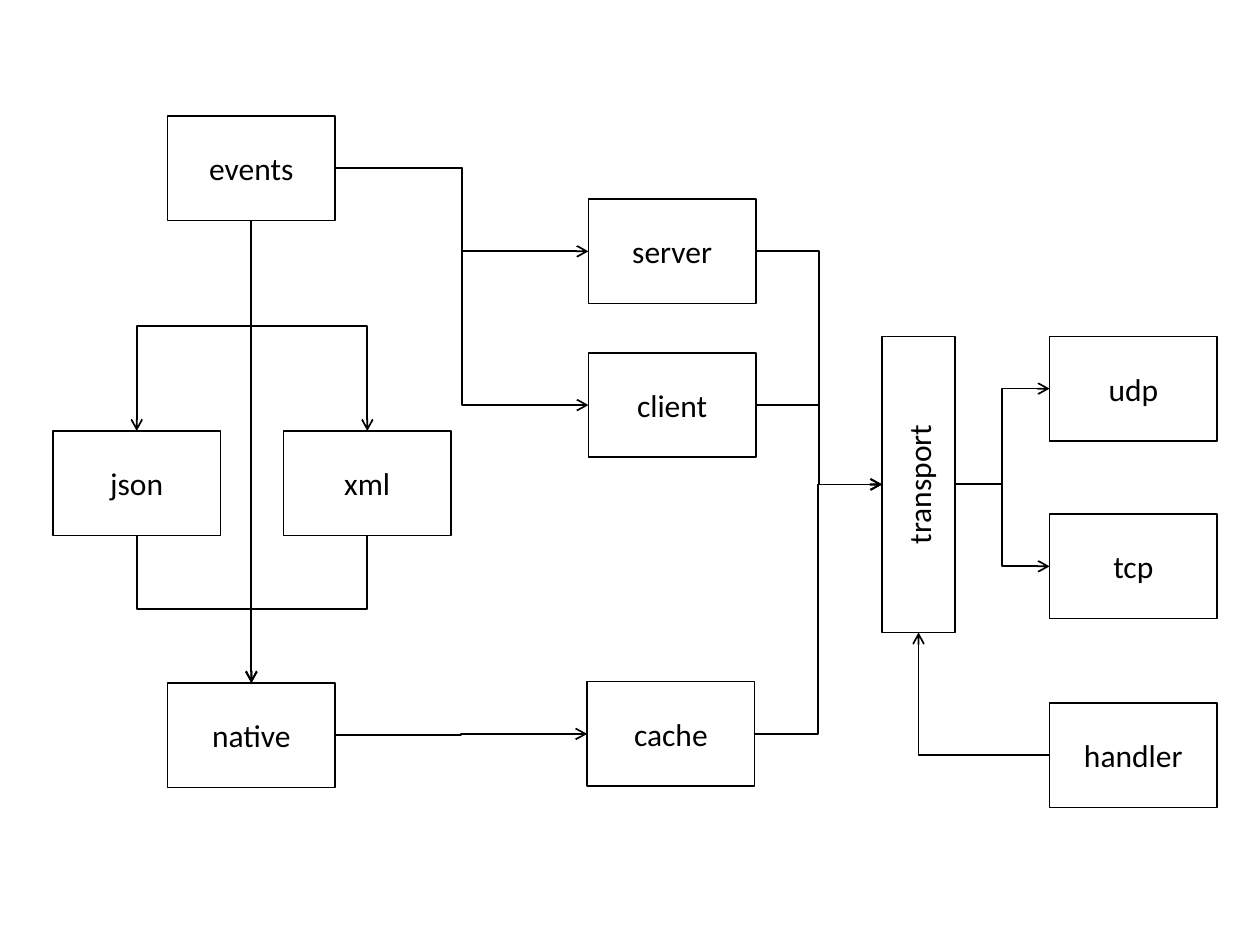
from pptx import Presentation
from pptx.dml.color import RGBColor
from pptx.enum.shapes import MSO_CONNECTOR as Route, MSO_SHAPE as Preset
from pptx.enum.text import MSO_ANCHOR as Anchor, PP_ALIGN as Align
from pptx.oxml.ns import qn
from pptx.util import Inches, Pt
from lxml.etree import SubElement

COLORS = {"ink": "000000"}
INK = RGBColor.from_string(COLORS["ink"])
FONT = {"name": "Calibri", "size": Pt(18)}
MARGINS = {"margin_left": 0, "margin_right": 0}
TOP, LEFT, BOTTOM, RIGHT = range(4)
BOX_WIDTH, BOX_HEIGHT = 1.33, 0.83

# Left and top of each module box
MODULES = {
    "udp": (8.33, 2.67),
    "tcp": (8.33, 4.08),
    "server": (4.67, 1.58),
    "client": (4.67, 2.8),
    "cache": (4.66, 5.41),
    "native": (1.33, 5.42),
    "xml": (2.25, 3.42),
    "json": (0.42, 3.42),
    "events": (1.33, 0.92),
    "handler": (8.33, 5.58),
}

# Flows that leave on the right and arrive on the left
SIDEWAYS = [
    ("events", "server"), ("events", "client"), ("native", "cache"),
    ("server", "transport"), ("client", "transport"), ("cache", "transport"),
    ("transport", "udp"), ("transport", "tcp"),
]
# Flows that leave at the bottom and arrive at the top
DOWNWARD = [("events", "xml"), ("events", "json"),
            ("xml", "native"), ("json", "native")]


def set_all(target, values):
    for name, value in values.items():
        setattr(target, name, value)


def add_box(slide, label, left, top, width=BOX_WIDTH, height=BOX_HEIGHT):
    box = slide.shapes.add_shape(Preset.RECTANGLE, Inches(left), Inches(top),
                                 Inches(width), Inches(height))
    box.shadow.inherit = False
    box.fill.background()
    box.line.color.rgb = INK
    box.line.width = Pt(1)
    frame = box.text_frame
    set_all(frame, {**MARGINS, "vertical_anchor": Anchor.MIDDLE})
    paragraph = frame.paragraphs[0]
    paragraph.alignment = Align.CENTER
    run = paragraph.add_run()
    run.text = label
    set_all(run.font, FONT)
    run.font.color.rgb = INK
    return box


def add_arrow(slide, source, source_side, target, target_side, route=Route.ELBOW):
    arrow = slide.shapes.add_connector(route, 0, 0, 0, 0)
    arrow.begin_connect(source, source_side)
    arrow.end_connect(target, target_side)
    arrow.line.color.rgb = INK
    arrow.line.width = Pt(1)
    properties = arrow.element.spPr
    SubElement(properties.find(qn("a:ln")), qn("a:tailEnd"), type="arrow")
    SubElement(properties, qn("a:effectLst"))
    return arrow


def add_down_arrow(slide, source, target):
    """An elbow that starts and ends vertically is a rotated sideways elbow."""
    arrow = add_arrow(slide, source, BOTTOM, target, TOP)
    across = arrow.end_x - arrow.begin_x
    down = arrow.end_y - arrow.begin_y
    center_x = (arrow.begin_x + arrow.end_x) // 2
    center_y = (arrow.begin_y + arrow.end_y) // 2
    transform = arrow.element.spPr.xfrm
    transform.flipH = across > 0
    transform.set("rot", str((270 if across > 0 else 90) * 60000))
    arrow.width, arrow.height = down, abs(across)
    arrow.left = center_x - down // 2
    arrow.top = center_y - abs(across) // 2


def add_corner_arrow(slide, source, target):
    """One bend: leave to the left, then rise into the target."""
    arrow = add_arrow(slide, source, LEFT, target, BOTTOM)
    properties = arrow.element.spPr
    properties.find(qn("a:prstGeom")).set("prst", "bentConnector2")
    properties.xfrm.flipH = properties.xfrm.flipV = False
    properties.xfrm.set("rot", str(180 * 60000))


def main():
    prs = Presentation()
    prs.slide_width, prs.slide_height = Inches(10), Inches(7.5)
    slide = prs.slides.add_slide(prs.slide_layouts[6])

    # Module boxes
    boxes = {label: add_box(slide, label, *corner)
             for label, corner in MODULES.items()}
    transport = add_box(slide, "transport", 7, 2.67, 0.58, 2.35)
    transport.element.txBody.bodyPr.set("vert", "vert270")
    boxes["transport"] = transport

    # Flows between modules
    for source, target in SIDEWAYS:
        add_arrow(slide, boxes[source], RIGHT, boxes[target], LEFT)
    for source, target in DOWNWARD:
        add_down_arrow(slide, boxes[source], boxes[target])
    add_arrow(slide, boxes["events"], BOTTOM, boxes["native"], TOP, Route.STRAIGHT)
    add_corner_arrow(slide, boxes["handler"], transport)

    prs.save("out.pptx")


if __name__ == "__main__":
    main()
